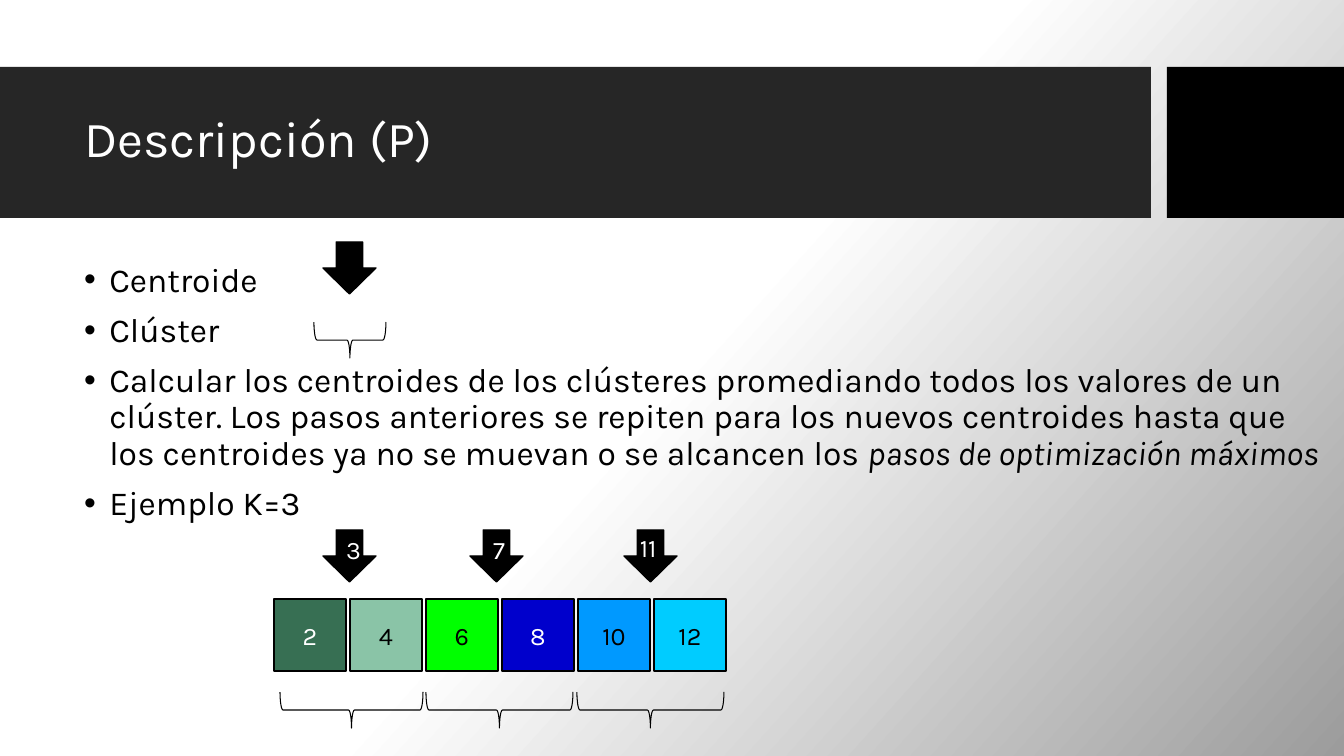
from copy import deepcopy

from lxml.etree import SubElement
from pptx import Presentation
from pptx.dml.color import RGBColor
from pptx.enum.shapes import MSO_SHAPE as Preset
from pptx.enum.text import MSO_ANCHOR as Anchor, MSO_AUTO_SIZE as AutoSize, PP_ALIGN as Align
from pptx.oxml.ns import qn
from pptx.util import Emu, Pt

WIDTH, HEIGHT = 1344, 756
SCALE = 12192000 / WIDTH
FONT = "Karla"
BLACK, WHITE = "000000", "FFFFFF"
ARROW_W, ARROW_H = 53, 52
BRACE_H = 36

VALUES = [
    ("2", "376F53", WHITE),
    ("4", "8AC4A7", BLACK),
    ("6", "00FF00", BLACK),
    ("8", "0000CC", WHITE),
    ("10", "0099FF", BLACK),
    ("12", "00CCFF", BLACK),
]
CLUSTERS = [(6, 143), (152, 147), (303, 147)]
CENTROIDS = [(49, "3"), (196, "7"), (350, "")]
POINTS = [
    ["Centroide"],
    ["Clúster"],
    [
        "Calcular los centroides de los clústeres promediando todos los valores de un "
        "clúster. Los pasos anteriores se repiten para los nuevos centroides hasta que "
        "los centroides ya no se muevan o se alcancen los ",
        "pasos de optimización máximos",
    ],
    ["Ejemplo K=3"],
]


def px(length):
    return Emu(round(length * SCALE))


def color(value):
    return RGBColor.from_string(value)


def style(paragraph, size, ink, align=Align.LEFT):
    paragraph.alignment = align
    font = paragraph.font
    font.name = FONT
    font.size = Pt(size)
    font.color.rgb = color(ink)


def add_preset(slide, preset, x, y, w, h, fill=None, line=None, weight=1):
    shape = slide.shapes.add_shape(preset, px(x), px(y), px(w), px(h))
    shape.shadow.inherit = False
    if fill:
        shape.fill.solid()
        shape.fill.fore_color.rgb = color(fill)
    else:
        shape.fill.background()
    if line:
        shape.line.color.rgb = color(line)
        shape.line.width = Pt(weight)
    else:
        shape.line.fill.background()
    return shape


def add_label(shape, label, ink):
    shape.text_frame.vertical_anchor = Anchor.MIDDLE
    paragraph = shape.text_frame.paragraphs[0]
    paragraph.text = label
    style(paragraph, 18, ink, Align.CENTER)


def add_centroid(slide, x, y, label=""):
    arrow = add_preset(slide, Preset.DOWN_ARROW, x, y, ARROW_W, ARROW_H, BLACK, BLACK)
    if label:
        add_label(arrow, label, WHITE)


def add_cluster(slide, x, y, span):
    left = x + (span - BRACE_H) / 2
    top = y + (BRACE_H - span) / 2
    brace = add_preset(slide, Preset.LEFT_BRACE, left, top, BRACE_H, span, None, BLACK, 0.75)
    brace.rotation = 270


def place(placeholder, x, y, w, h, anchor):
    placeholder.left, placeholder.top = px(x), px(y)
    placeholder.width, placeholder.height = px(w), px(h)
    frame = placeholder.text_frame
    frame.word_wrap = True
    frame.auto_size = AutoSize.NONE
    frame.vertical_anchor = anchor
    return frame


def paint_background(slide):
    fill = slide.background.fill
    fill.gradient()
    fill.gradient_angle = 318
    stop_list = slide.element.find(".//" + qn("a:gsLst"))
    stop_list.insert(0, deepcopy(stop_list[0]))
    stops = zip(fill.gradient_stops, [(0, WHITE), (0.5, WHITE), (1, "9C9C9C")])
    for stop, (position, tint) in stops:
        stop.position = position
        stop.color.rgb = color(tint)


def build_header(slide, x, y, w, h):
    accent_w, gap = 177, 16
    bands = [(x, w - accent_w - gap, "262626"), (x + w - accent_w, accent_w, BLACK)]
    for index, (left, width, fill) in enumerate(bands):
        band = add_preset(slide, Preset.RECTANGLE, left, y, width, h, fill)
        slide.shapes.element.insert(2 + index, band.element)
    heading = place(slide.shapes.title, x + 74, y + 15, 1059, 119, Anchor.MIDDLE).paragraphs[0]
    heading.text = "Descripción (P)"
    heading.line_spacing = 0.9
    style(heading, 36, WHITE)


def add_bullet(paragraph):
    properties = paragraph._p.get_or_add_pPr()
    properties.set("marL", "228600")
    properties.set("indent", "-228600")
    tint = SubElement(properties, qn("a:buClr"))
    SubElement(tint, qn("a:srgbClr"), val=BLACK)
    SubElement(properties, qn("a:buFont"), typeface="Arial")
    SubElement(properties, qn("a:buChar"), char="•")


def build_points(slide, x, y, w, h):
    frame = place(slide.placeholders[1], x, y, w, h, Anchor.TOP)
    for index, parts in enumerate(POINTS):
        point = frame.add_paragraph() if index else frame.paragraphs[0]
        add_bullet(point)
        point.line_spacing = 0.9
        point.space_before = Pt(10 if index else 0)
        style(point, 24, BLACK)
        for position, part in enumerate(parts):
            run = point.add_run()
            run.text = part
            if position:
                run.font.italic = True
    add_centroid(slide, x + 249, y - 16)
    add_cluster(slide, x + 240, y + 64, 72)


def build_example(slide, x, y):
    cell, pitch = 72, 76
    for index, (value, fill, ink) in enumerate(VALUES):
        square = add_preset(slide, Preset.RECTANGLE, x + index * pitch, y + 69, cell, cell, fill, BLACK)
        add_label(square, value, ink)
    for offset, span in CLUSTERS:
        add_cluster(slide, x + offset, y + 162, span)
    for offset, label in CENTROIDS:
        add_centroid(slide, x + offset, y, label)
    last = slide.shapes.add_textbox(px(x + 356), px(y - 3), px(47), px(40))
    last.text_frame.word_wrap = True
    mean = last.text_frame.paragraphs[0]
    mean.text = "11"
    style(mean, 18, WHITE)


def main():
    deck = Presentation()
    deck.slide_width, deck.slide_height = px(WIDTH), px(HEIGHT)
    slide = deck.slides.add_slide(deck.slide_layouts[1])
    paint_background(slide)
    build_header(slide, 0, 67, WIDTH, 151)
    build_points(slide, 74, 258, 1270, 397)
    build_example(slide, 274, 530)
    deck.save("out.pptx")


if __name__ == "__main__":
    main()
